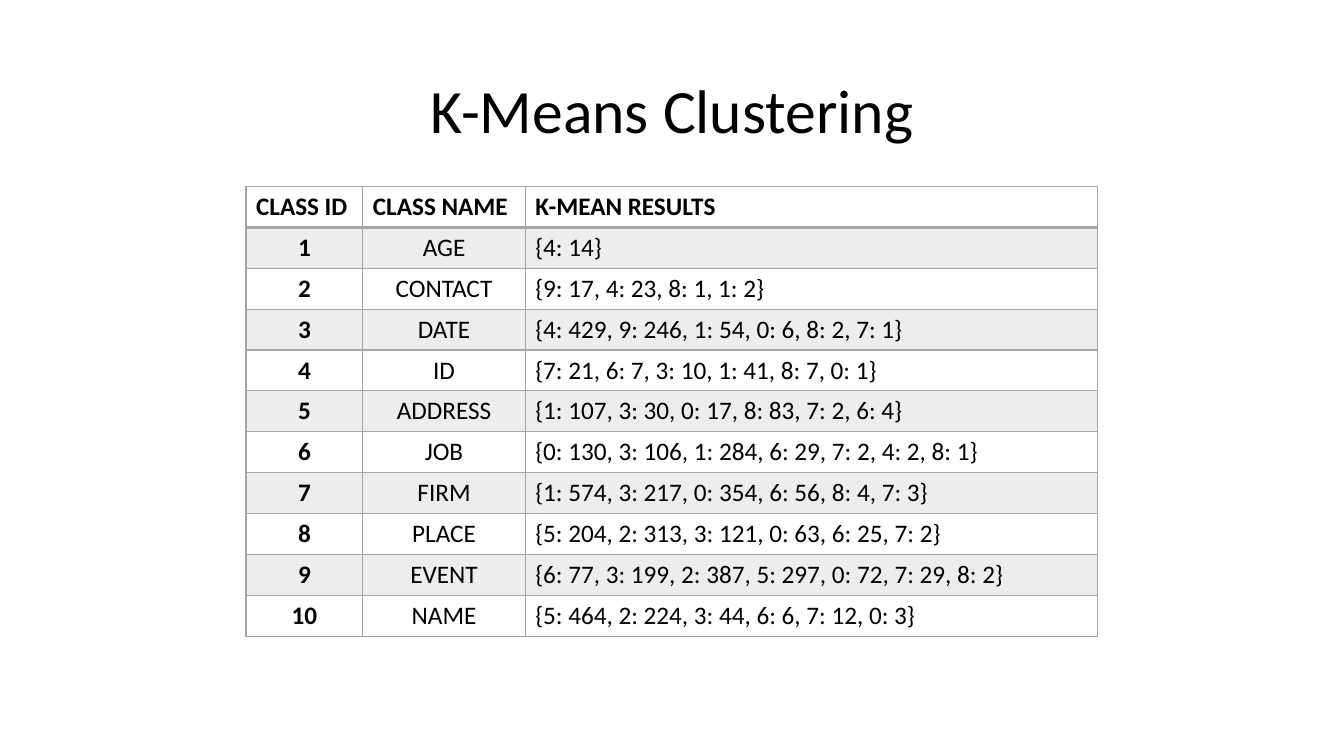
"""Build a slide with a table of K-Means clustering results per class."""
from dataclasses import dataclass

from lxml import etree
from pptx import Presentation
from pptx.dml.color import RGBColor
from pptx.enum.text import MSO_ANCHOR, PP_ALIGN
from pptx.oxml.ns import qn
from pptx.util import Pt

LEFT, CENTER = PP_ALIGN.LEFT, PP_ALIGN.CENTER
TOP, MIDDLE = MSO_ANCHOR.TOP, MSO_ANCHOR.MIDDLE
FONT = "Calibri"
COLORS = {"text": "000000", "grid": "A5A5A5"}
BAND_ALPHA = 20
ROW_HEIGHT = 29.2


@dataclass(frozen=True)
class Column:
    """Describe one table column."""
    heading: str
    width: float
    align: PP_ALIGN
    bold: bool


COLUMNS = [
    Column("CLASS ID", 83.5, CENTER, True),
    Column("CLASS NAME", 116, CENTER, False),
    Column("K-MEAN RESULTS", 409, LEFT, False),
]
RESULTS = [
    ("AGE", "{4: 14}"),
    ("CONTACT", "{9: 17, 4: 23, 8: 1, 1: 2}"),
    ("DATE", "{4: 429, 9: 246, 1: 54, 0: 6, 8: 2, 7: 1}"),
    ("ID", "{7: 21, 6: 7, 3: 10, 1: 41, 8: 7, 0: 1}"),
    ("ADDRESS", "{1: 107, 3: 30, 0: 17, 8: 83, 7: 2, 6: 4}"),
    ("JOB", "{0: 130, 3: 106, 1: 284, 6: 29, 7: 2, 4: 2, 8: 1}"),
    ("FIRM", "{1: 574, 3: 217, 0: 354, 6: 56, 8: 4, 7: 3}"),
    ("PLACE", "{5: 204, 2: 313, 3: 121, 0: 63, 6: 25, 7: 2}"),
    ("EVENT", "{6: 77, 3: 199, 2: 387, 5: 297, 0: 72, 7: 29, 8: 2}"),
    ("NAME", "{5: 464, 2: 224, 3: 44, 6: 6, 7: 12, 0: 3}"),
]


def format_text(tf, size: float, align: PP_ALIGN, anchor: MSO_ANCHOR, bold: bool = False) -> None:
    """Format the single paragraph of a text frame."""
    tf.vertical_anchor = anchor
    p = tf.paragraphs[0]
    p.alignment = align
    font = p.runs[0].font
    font.name, font.size, font.bold = FONT, Pt(size), bold
    font.color.rgb = RGBColor.from_string(COLORS["text"])


def add_borders(cell, bottom: float) -> None:
    """Draw thin borders with a chosen bottom width."""
    tcPr = cell._tc.get_or_add_tcPr()
    for side, width in (("L", 1), ("R", 1), ("T", 1), ("B", bottom)):
        ln = etree.SubElement(tcPr, qn(f"a:ln{side}"), w=str(Pt(width)))
        fill = etree.SubElement(ln, qn("a:solidFill"))
        etree.SubElement(fill, qn("a:srgbClr"), val=COLORS["grid"])


def fill_band(cell) -> None:
    """Fill a cell with the translucent band colour."""
    cell.fill.solid()
    cell.fill.fore_color.rgb = RGBColor.from_string(COLORS["grid"])
    color = cell._tc.tcPr.find(qn("a:solidFill")).find(qn("a:srgbClr"))
    etree.SubElement(color, qn("a:alpha"), val=str(BAND_ALPHA * 1000))


def draw_cell(cell, text: str, column: Column, row: int) -> None:
    """Write and style one cell of the table."""
    header = row == 0
    cell.text = text
    format_text(cell.text_frame, 18, LEFT if header else column.align,
                TOP, header or column.bold)
    cell.vertical_anchor = TOP if header else MIDDLE
    add_borders(cell, 2 if header else 1)
    if row % 2:
        fill_band(cell)
    else:
        cell.fill.background()


def add_results(s) -> None:
    """Add the table of cluster counts per class."""
    rows = [[column.heading for column in COLUMNS]]
    rows += [[str(i), *result] for i, result in enumerate(RESULTS, 1)]
    table = s.shapes.add_table(
        len(rows), len(COLUMNS), Pt(175.7), Pt(133.2),
        Pt(sum(column.width for column in COLUMNS)), Pt(ROW_HEIGHT * len(rows))).table
    for c, column in enumerate(COLUMNS):
        table.columns[c].width = Pt(column.width)
        for r, values in enumerate(rows):
            draw_cell(table.cell(r, c), values[c], column, r)
    for row in table.rows:
        row.height = Pt(ROW_HEIGHT)


def main() -> None:
    """Create and save the presentation."""
    prs = Presentation()
    prs.slide_width, prs.slide_height = Pt(960), Pt(540)
    s = prs.slides.add_slide(prs.slide_layouts[5])
    title = s.shapes.title
    title.left, title.top, title.width, title.height = Pt(66), Pt(28.8), Pt(828), Pt(104.4)
    title.text_frame.text = "K-Means Clustering"
    format_text(title.text_frame, 44, CENTER, MIDDLE)
    title.text_frame.paragraphs[0].line_spacing = 0.9
    add_results(s)
    prs.save("out.pptx")


main()
